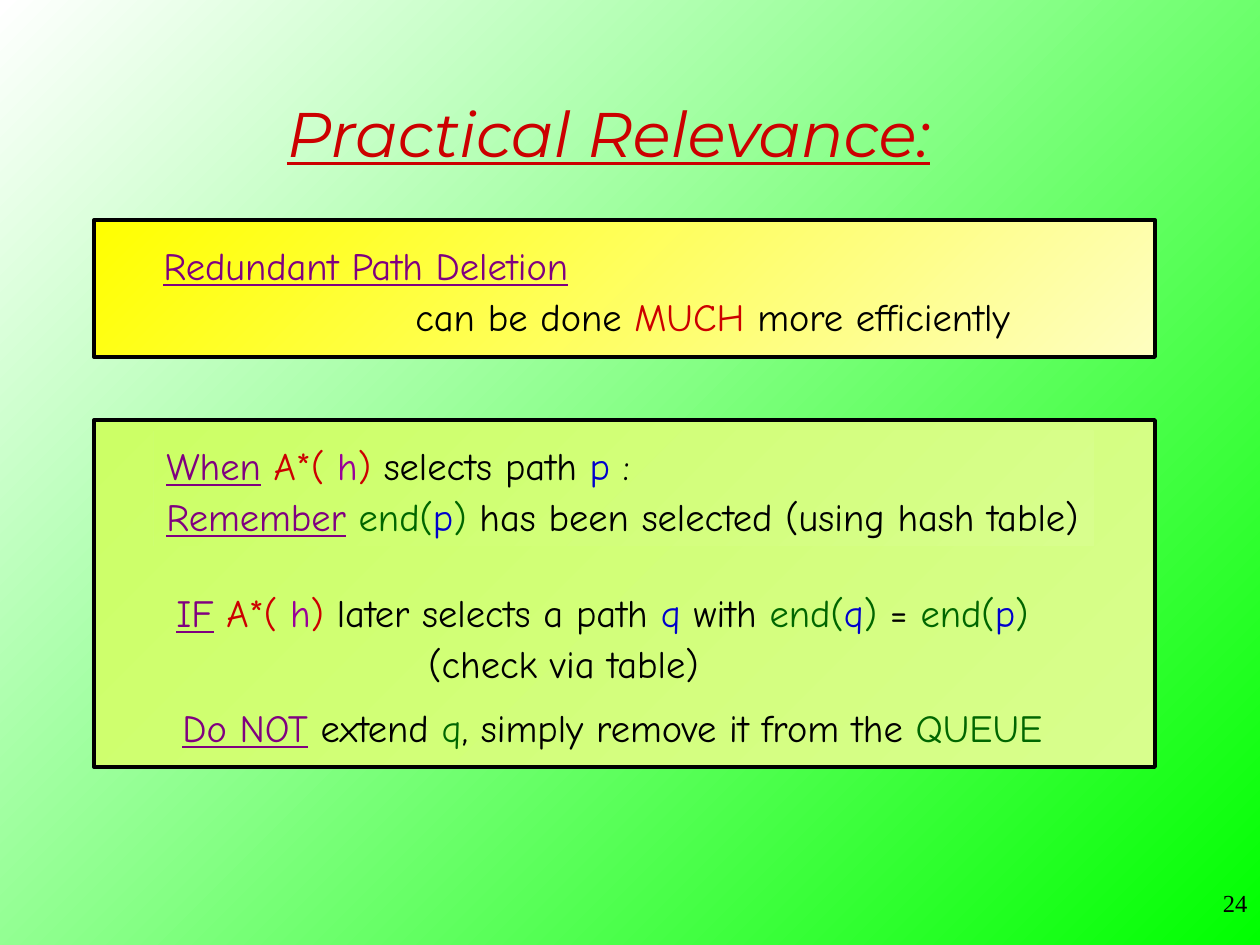
from pptx import Presentation
from pptx.dml.color import RGBColor
from pptx.enum.shapes import MSO_SHAPE as Shape
from pptx.enum.text import MSO_ANCHOR as Anchor, MSO_AUTO_SIZE as AutoSize, PP_ALIGN as Align
from pptx.util import Pt

PX = 914400 / 126
TAB = 252


class Theme:
    title_font, body_font, number_font = "Montserrat", "Comic Neue", "Times New Roman"
    title_size, body_size, number_size = 36, 22, 14
    frame_width = 2.25
    black, red, blue, green = "000000", "CC0000", "0000CC", "006600"
    key, heuristic = "800080", "990099"
    backdrop = ("00FF00", "FFFFFF")
    yellow = ("FEFEC0", "FFFF00")
    lime = ("D8FE8D", "CCFF66")


def fill_diagonal(fill, colors):
    """Blend two colours from the bottom right to the top left."""
    fill.gradient()
    fill.gradient_angle = 135
    for stop, color in zip(fill.gradient_stops, colors):
        stop.color.rgb = RGBColor.from_string(color)


def add_text(page, area, lines, font=Theme.body_font, size=Theme.body_size, align=Align.LEFT,
             anchor=Anchor.TOP, spacing=1.1, wrap=False, grow=True, italic=False,
             underlined=(Theme.key,), indents=(0, 0)):
    """Each line is a list of (text, colour); spans in an underlined colour get a rule."""
    box = page.shapes.add_textbox(*(round(n * PX) for n in area))
    frame = box.text_frame
    frame.word_wrap = wrap
    frame.auto_size = AutoSize.SHAPE_TO_FIT_TEXT if grow else AutoSize.NONE
    frame.vertical_anchor = anchor
    for index, (line, indent) in enumerate(zip(lines, indents)):
        para = frame.add_paragraph() if index else frame.paragraphs[0]
        para.alignment, para.line_spacing = align, spacing
        if indent:
            para._p.get_or_add_pPr().set("marL", str(round(indent * PX)))
        for text, color in line:
            span = para.add_run()
            span.text = text
            span.font.name, span.font.size = font, Pt(size)
            span.font.color.rgb = RGBColor.from_string(color)
            span.font.italic = italic
            span.font.underline = color in underlined
    return box


deck = Presentation()
deck.slide_width, deck.slide_height = round(1260 * PX), round(945 * PX)
page = deck.slides.add_slide(deck.slide_layouts[6])
fill_diagonal(page.background.fill, Theme.backdrop)

add_text(page, (73, 53, 1071, 158), [[("Practical Relevance:", Theme.red)]],
         font=Theme.title_font, size=Theme.title_size, align=Align.CENTER, anchor=Anchor.MIDDLE,
         spacing=1.0, wrap=True, grow=False, italic=True, underlined=(Theme.red,))

for top, height, colors in ((220, 137, Theme.yellow), (420, 347, Theme.lime)):
    panel = page.shapes.add_shape(Shape.RECTANGLE, *(round(n * PX) for n in (94, top, 1061, height)))
    panel.shadow.inherit = False
    fill_diagonal(panel.fill, colors)
    panel.line.color.rgb = RGBColor.from_string(Theme.black)
    panel.line.width = Pt(Theme.frame_width)

add_text(page, (151, 231, 930, 115), [
    [("Redundant Path Deletion", Theme.key)],
    [("can be done ", Theme.black), ("MUCH", Theme.red), (" more efficiently", Theme.black)],
], wrap=True, indents=(0, TAB))

search = [(" A*( ", Theme.red), ("h", Theme.heuristic), (")", Theme.red)]
end_p = [(" end(", Theme.green), ("p", Theme.blue), (")", Theme.green)]

selection = add_text(page, (154, 431, 940, 115), [
    [("When", Theme.key), *search, (" selects path ", Theme.black), ("p", Theme.blue),
     (" :", Theme.black)],
    [("Remember", Theme.key), *end_p, (" has been selected (using hash table)", Theme.black)],
])
fill_diagonal(selection.fill, Theme.lime)

add_text(page, (164, 578, 878, 115), [
    [("IF", Theme.key), *search, (" later selects a path ", Theme.black), ("q", Theme.blue),
     (" with ", Theme.black), ("end(", Theme.green), ("q", Theme.blue), (") ", Theme.green),
     ("=", Theme.black), *end_p],
    [("(check via table)", Theme.black)],
], indents=(0, TAB))

add_text(page, (170, 693, 903, 64), [
    [("Do NOT", Theme.key), (" extend", Theme.black), (" q", Theme.green),
     (", simply remove it from the", Theme.black), (" QUEUE", Theme.green)],
])

add_text(page, (998, 882, 262, 63), [[("24", Theme.black)]], font=Theme.number_font,
         size=Theme.number_size, align=Align.RIGHT, spacing=1.0, wrap=True, grow=False)

deck.save("out.pptx")
